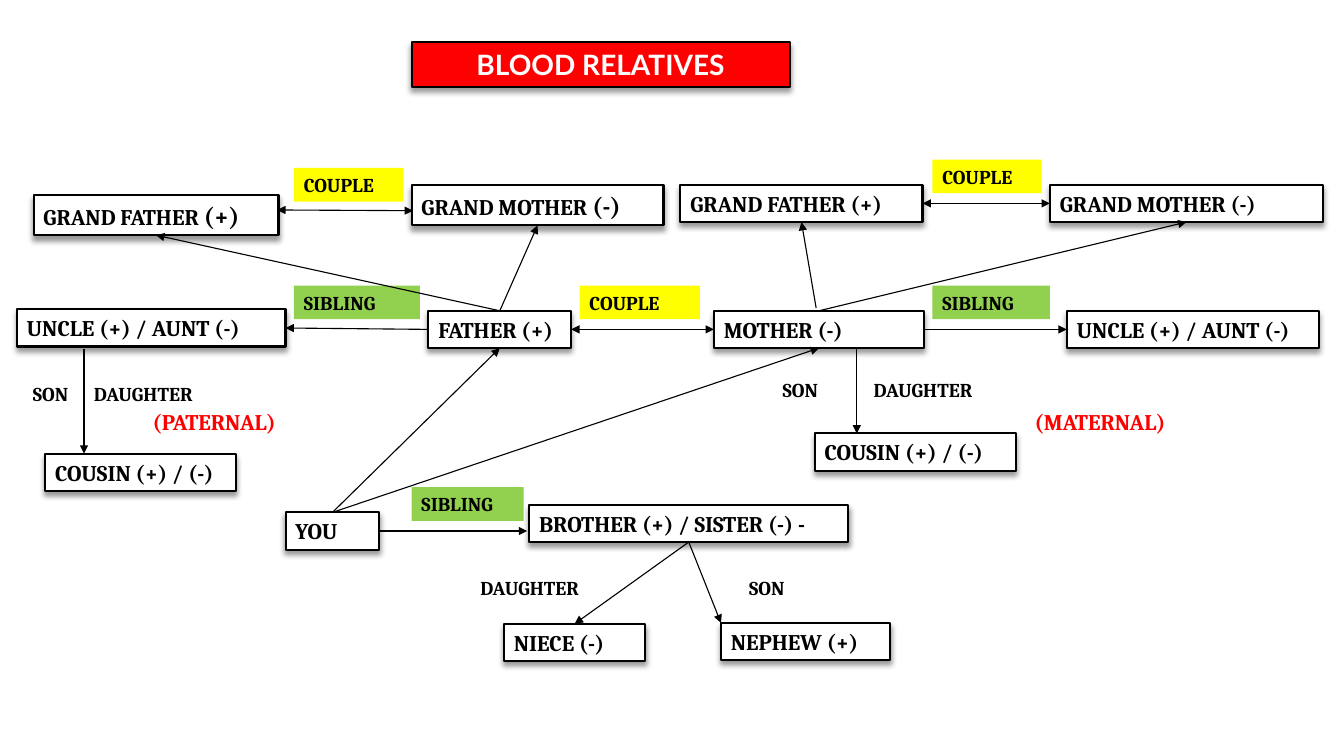
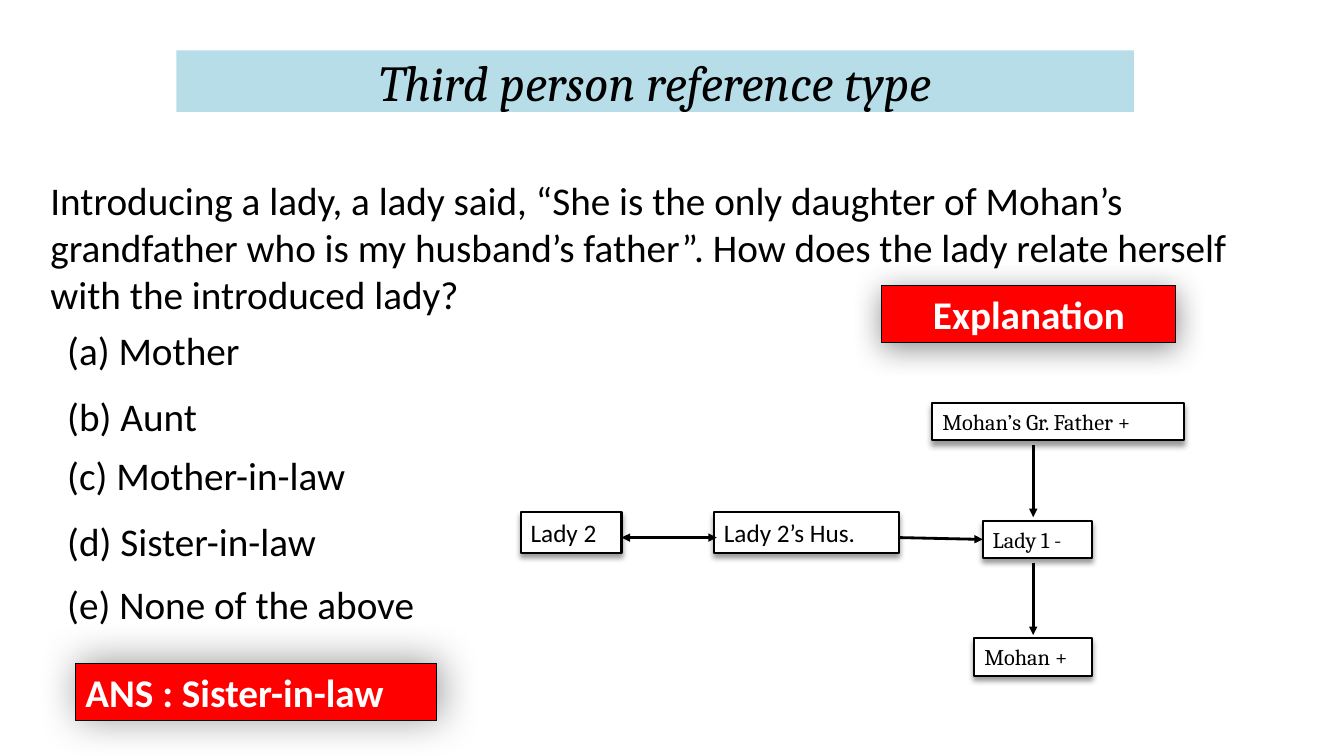
"""Build two slides on blood relatives: a family tree and a worked question."""
from dataclasses import dataclass, replace

from lxml.etree import SubElement
from pptx import Presentation
from pptx.dml.color import RGBColor
from pptx.enum.shapes import MSO_CONNECTOR, MSO_SHAPE
from pptx.enum.text import MSO_AUTO_SIZE, PP_ALIGN
from pptx.oxml.ns import qn
from pptx.util import Pt

RECT = MSO_SHAPE.RECTANGLE
LINE = MSO_CONNECTOR.STRAIGHT
FIXED = MSO_AUTO_SIZE.NONE
LEFT, MID = PP_ALIGN.LEFT, PP_ALIGN.CENTER
TOP, WEST, BASE, EAST = range(4)


@dataclass(frozen=True)
class Theme:
    black: str = "000000"
    white: str = "FFFFFF"
    red: str = "FF0000"
    green: str = "92D050"
    yellow: str = "FFFF00"
    blue: str = "B7DEE8"
    serif: str = "Cambria"
    sans: str = "Calibri"
    lato: str = "Lato"
    label: int = 14
    node: int = 16
    large: int = 18
    head: int = 20
    text: int = 28
    title: int = 36


T = Theme()


@dataclass(frozen=True)
class Look:
    face: str = T.serif
    size: int = T.node
    ink: str = T.black
    bold: bool = False
    slant: bool = False
    fill: str = ""
    edge: float = 0
    shade: tuple = ()
    align: PP_ALIGN = LEFT


NODE = Look(fill=T.white, edge=1.5, shade=(40, 4, 3, 90))
KIN = replace(NODE, bold=True)
LADY = replace(NODE, face=T.sans, size=T.large)
WORD = Look(size=T.label, bold=True)
SIDE = replace(WORD, size=T.node, ink=T.red)
GREEN = replace(WORD, fill=T.green)
YELLOW = replace(WORD, fill=T.yellow)
HEAD = replace(KIN, face=T.lato, size=T.head, ink=T.white, fill=T.red, align=MID)
BAND = Look(size=T.title, slant=True, fill=T.blue, align=MID)
REPLY = Look(T.sans, T.text, T.white, True, False, T.red, 0.75, (40, 29, 3, 315))
CLUE = replace(REPLY, shade=(43, 22, 4, 90), align=MID)


def put(slide, text, at, look, shape=None):
    place = [Pt(n) for n in at]
    if shape is not None:
        shape.left, shape.top, shape.width, shape.height = place
    elif look.fill:
        shape = slide.shapes.add_shape(RECT, *place)
    else:
        shape = slide.shapes.add_textbox(*place)
    shape.shadow.inherit = False
    if look.fill:
        shape.fill.solid()
        shape.fill.fore_color.rgb = RGBColor.from_string(look.fill)
    if look.edge:
        shape.line.width = Pt(look.edge)
        shape.line.color.rgb = RGBColor.from_string(T.black)
    else:
        shape.line.fill.background()
    if look.shade:
        alpha, blur, dist, angle = look.shade
        effect = shape._element.spPr.find(qn("a:effectLst"))
        outer = SubElement(effect, qn("a:outerShdw"), blurRad=str(Pt(blur)),
                           dist=str(Pt(dist)), dir=str(angle * 60000), rotWithShape="0")
        tint = SubElement(outer, qn("a:srgbClr"), val=T.black)
        SubElement(tint, qn("a:alpha"), val=str(alpha * 1000))
    frame = shape.text_frame
    frame.word_wrap = True
    frame.auto_size = FIXED
    para = frame.paragraphs[0]
    para.text = text
    para.alignment = look.align
    font = para.font
    font.name, font.size = look.face, Pt(look.size)
    font.bold, font.italic = look.bold, look.slant
    font.color.rgb = RGBColor.from_string(look.ink)
    return shape


def link(slide, nodes, start, end, both=False, width=0.79):
    line = slide.shapes.add_connector(LINE, 0, 0, 0, 0)
    if start[0] in nodes:
        line.begin_connect(nodes[start[0]], start[1])
    else:
        line.begin_x, line.begin_y = Pt(start[0]), Pt(start[1])
    if end[0] in nodes:
        line.end_connect(nodes[end[0]], end[1])
    else:
        line.end_x, line.end_y = Pt(end[0]), Pt(end[1])
    line.line.width = Pt(width)
    line.line.color.rgb = RGBColor.from_string(T.black)
    props = line._element.spPr
    stroke = props.find(qn("a:ln"))
    if both:
        SubElement(stroke, qn("a:headEnd"), type="triangle")
    SubElement(stroke, qn("a:tailEnd"), type="triangle")
    SubElement(props, qn("a:effectLst"))


deck = Presentation()
deck.slide_width, deck.slide_height = Pt(960), Pt(540)

tree = deck.slides.add_slide(deck.slide_layouts[5])
put(tree, "BLOOD RELATIVES", (294, 30, 270, 32), HEAD, tree.shapes.title)

kin = {}
for key, text, left, top, width in (
    ("you", "YOU", 204, 366, 67),
    ("mother", "MOTHER (-)", 510, 222, 150),
    ("father", "FATHER (+)", 306, 222, 102),
    ("niece", "NIECE (-)", 360, 445.6, 101),
    ("peer", "BROTHER (+) / SISTER (-) -", 378, 360.6, 228),
    ("nephew", "NEPHEW (+)", 515, 445, 121),
    ("cousin", "COUSIN (+) / (-)", 32.4, 324, 136),
    ("mum's kin", "UNCLE (+) / AUNT (-)", 762, 222, 180),
    ("dad's kin", "UNCLE (+) / AUNT (-)", 12, 221, 192),
    ("mum's niece", "COUSIN (+) / (-)", 582, 309.6, 144),
    ("mum's dad", "GRAND FATHER (+)", 486, 132, 173),
    ("mum's mum", "GRAND MOTHER (-)", 750, 132, 195),
):
    kin[key] = put(tree, text, (left, top, width, 26.6), KIN)

for key, text, sign, at in (
    ("dad's dad", "GRAND FATHER ", "(+)", (24, 139, 175, 29)),
    ("dad's mum", "GRAND MOTHER ", "(-)", (294, 132, 180, 29)),
):
    kin[key] = put(tree, text, at, KIN)
    run = kin[key].text_frame.paragraphs[0].add_run()
    run.text = sign
    run.font.size = Pt(T.large)

for text, look, left, top, width in (
    ("(PATERNAL)", SIDE, 102, 288, 144),
    ("(MATERNAL)", SIDE, 732, 288, 129),
    ("SON", WORD, 552, 266.4, 56),
    ("DAUGHTER", WORD, 617, 266.4, 115),
    ("SON", WORD, 528, 408, 78),
    ("DAUGHTER", WORD, 336, 408, 122),
    ("SON", WORD, 16.4, 269, 50),
    ("DAUGHTER", WORD, 60, 269, 126),
    ("SIBLING", GREEN, 666, 204, 84),
    ("SIBLING", GREEN, 210, 204, 90),
    ("SIBLING", GREEN, 294, 348, 80),
    ("COUPLE", YELLOW, 414, 204, 86),
    ("COUPLE", YELLOW, 666, 114, 78),
    ("COUPLE", YELLOW, 210, 120, 78),
):
    put(tree, text, (left, top, width, 24), look)

for start, end, both in (
    (("father", EAST), ("mother", WEST), True),
    (("father", WEST), ("dad's kin", EAST), False),
    (("mother", EAST), ("mum's kin", WEST), False),
    ((612, 249), (612, 309.6), False),
    ((60, 249), (60, 324), False),
    (("you", TOP), ("father", BASE), False),
    (("you", TOP), ("mother", BASE), False),
    (("you", EAST), (376.6, 379.3), False),
    (("peer", BASE), ("niece", TOP), False),
    (("peer", BASE), (515, 445), False),
    (("mum's dad", EAST), ("mum's mum", WEST), True),
    (("father", TOP), ("dad's dad", BASE), False),
    (("father", TOP), ("dad's mum", BASE), False),
    ((583, 220), ("mum's dad", BASE), False),
    (("mother", TOP), ("mum's mum", BASE), False),
    ((198, 150), (295, 150.5), True),
):
    link(tree, kin, start, end, both)

quiz = deck.slides.add_slide(deck.slide_layouts[1])
band = put(quiz, "Third person reference type", (126, 36, 684, 44), BAND, quiz.shapes.title)

body = quiz.placeholders[1]
body.left, body.top, body.width, body.height = Pt(36), Pt(126), Pt(894), Pt(325)
for frame in (band.text_frame, body.text_frame):
    frame.margin_left = frame.margin_right = frame.margin_top = frame.margin_bottom = 0
frame = body.text_frame
frame.auto_size = FIXED
for text, gap, inset in (
    ("Introducing a lady, a lady said, “She is the only daughter of Mohan’s grandfather "
     "who is my husband’s father”. How does the lady relate herself with the introduced "
     "lady?", 0, 0),
    ("(a) Mother", 6, 12),
    ("(b) Aunt", 14, 12),
    ("(c) Mother-in-law", 8, 12),
    ("(d) Sister-in-law", 14, 12),
    ("(e) None of the above", 11, 12),
):
    para = frame.add_paragraph() if frame.text else frame.paragraphs[0]
    para.text = text
    para.space_before = Pt(gap)
    props = para._p.get_or_add_pPr()
    props.set("marL", str(Pt(inset)))
    props.set("indent", "0")
    SubElement(props, qn("a:buNone"))
    para.font.name, para.font.size = T.sans, Pt(T.text)
    para.font.color.rgb = RGBColor.from_string(T.black)

put(quiz, "Explanation", (630, 204, 210, 41), CLUE)
put(quiz, "ANS : Sister-in-law", (54, 474, 258, 41), REPLY)

cast = {}
for key, text, at, look in (
    ("hus", "Lady 2’s Hus.", (510, 366, 132, 29), LADY),
    ("lady 2", "Lady 2", (372, 366, 72, 29), LADY),
    ("elder", "Mohan’s Gr. Father +", (666, 288, 180, 26.6), NODE),
    ("lady 1", "Lady 1 -", (702, 372, 78, 26.6), NODE),
    ("mohan", "Mohan +", (696, 456, 84, 26.6), NODE),
):
    cast[key] = put(quiz, text, at, look)

for start, end, both in (
    ((738, 318), (738, 369.4), False),
    ((738, 402), (738, 453.6), False),
    ((642, 384), ("lady 1", WEST), False),
    ((444, 384), (512, 384), True),
):
    link(quiz, cast, start, end, both, 2)

deck.save("out.pptx")
